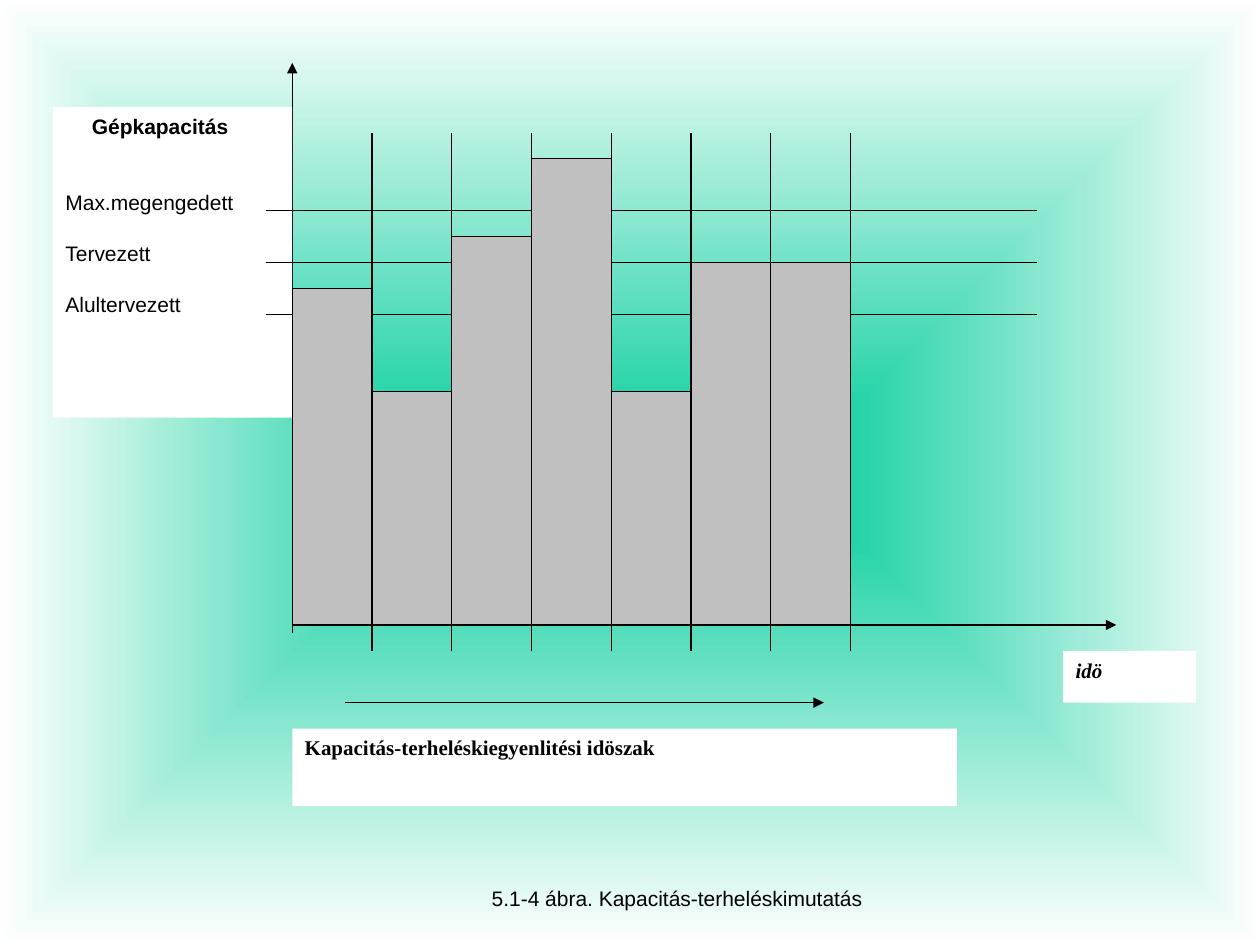
from dataclasses import dataclass

from lxml.etree import SubElement
from pptx import Presentation
from pptx.dml.color import RGBColor
from pptx.enum.shapes import MSO_CONNECTOR, MSO_SHAPE
from pptx.enum.text import MSO_ANCHOR, MSO_AUTO_SIZE, PP_ALIGN
from pptx.oxml import parse_xml
from pptx.oxml.ns import nsdecls, qn
from pptx.util import Inches, Length, Pt


@dataclass(frozen=True)
class Theme:
    ink: str = "000000"
    paper: str = "FFFFFF"
    bar: str = "C0C0C0"
    glow: str = "00CC99"
    sans: str = "Arial"
    serif: str = "Times New Roman"
    size: float = 12
    line: float = 0.75


@dataclass(frozen=True)
class Grid:
    """Chart grid: columns run right and rows run up from the origin."""
    left: float = 2.32
    base: float = 4.96
    col: float = 4.43 / 7
    row: float = 3.7 / 18

    def x(self, col: float) -> Length:
        return Inches(self.left + col * self.col)

    def y(self, row: float) -> Length:
        return Inches(self.base - row * self.row)


@dataclass(frozen=True)
class Line:
    start: tuple[float, float]
    end: tuple[float, float]
    arrow: bool = False


@dataclass(frozen=True)
class Label:
    text: str
    font: str
    bold: bool = False
    italic: bool = False
    before: float = 0
    indent: float = 0


@dataclass(frozen=True)
class Box:
    """Rectangle given by its left and top grid position, columns and rows."""
    col: float
    row: float
    cols: float
    rows: float
    labels: tuple[Label, ...] = ()


THEME = Theme()
GRID = Grid()
THIRD = 1 / 3

LOADS = (13, 9, 15, 18, 9, 14, 14)
LEVELS = (12, 14, 16)

AXES = (
    Line((0, -0.3), (0, 21.7), arrow=True),
    Line((0, 0), (10 + THIRD, 0), arrow=True),
)
PERIOD_ARROW = Line((2 * THIRD, -3), (6 + 2 * THIRD, -3), arrow=True)

CAPACITY_BOX = Box(-3, 20, 3, 12, (
    Label("Gépkapacitás", THEME.sans, bold=True, indent=0.21),
    Label("Max.megengedett", THEME.sans, before=29),
    Label("Tervezett", THEME.sans, before=15),
    Label("Alultervezett", THEME.sans, before=15),
))
PERIOD_BOX = Box(0, -4, 8 + THIRD, 3, (
    Label("Kapacitás-terheléskiegyenlitési idöszak", THEME.serif, bold=True),
))
TIME_BOX = Box(9 + 2 * THIRD, -1, 1 + 2 * THIRD, 2, (
    Label("idö", THEME.serif, bold=True, italic=True),
))


def rgb(value: str) -> RGBColor:
    return RGBColor.from_string(value)


def set_background(s) -> None:
    """Rectangular gradient glowing from the middle of the slide."""
    s.background.fill.solid()
    bg_pr = s.background._cSld.bg.bgPr
    bg_pr.replace(bg_pr[0], parse_xml(
        f'<a:gradFill {nsdecls("a")} rotWithShape="0"><a:gsLst>'
        f'<a:gs pos="0"><a:srgbClr val="{THEME.glow}"/></a:gs>'
        f'<a:gs pos="100000"><a:srgbClr val="{THEME.paper}"/></a:gs>'
        '</a:gsLst><a:path path="rect">'
        '<a:fillToRect l="50000" t="50000" r="50000" b="50000"/>'
        '</a:path></a:gradFill>'))


def write_label(p, label: Label) -> None:
    p.text = label.text
    p.alignment = PP_ALIGN.LEFT
    p.space_before = Pt(label.before)
    p._p.get_or_add_pPr().set("marL", str(Inches(label.indent)))
    font = p.runs[0].font
    font.name = label.font
    font.size = Pt(THEME.size)
    font.bold = label.bold
    font.italic = label.italic
    font.color.rgb = rgb(THEME.ink)


def add_line(s, line: Line) -> None:
    (x1, y1), (x2, y2) = line.start, line.end
    c = s.shapes.add_connector(MSO_CONNECTOR.STRAIGHT, GRID.x(x1), GRID.y(y1),
                               GRID.x(x2), GRID.y(y2))
    c.line.color.rgb = rgb(THEME.ink)
    c.line.width = Pt(THEME.line)
    if line.arrow:
        SubElement(c.line._get_or_add_ln(), qn("a:tailEnd"), type="triangle")
    SubElement(c._element.spPr, qn("a:effectLst"))


def add_box(s, box: Box, fill: str, outlined: bool = False) -> None:
    x, y = GRID.x(box.col), GRID.y(box.row)
    sp = s.shapes.add_shape(MSO_SHAPE.RECTANGLE, x, y,
                            GRID.x(box.col + box.cols) - x,
                            GRID.y(box.row - box.rows) - y)
    sp.shadow.inherit = False
    sp.fill.solid()
    sp.fill.fore_color.rgb = rgb(fill)
    if outlined:
        sp.line.color.rgb = rgb(THEME.ink)
        sp.line.width = Pt(THEME.line)
    else:
        sp.line.fill.background()
    tf = sp.text_frame
    tf.word_wrap = True
    tf.vertical_anchor = MSO_ANCHOR.TOP
    for i, label in enumerate(box.labels):
        write_label(tf.add_paragraph() if i else tf.paragraphs[0], label)


def set_title(s, text: str) -> None:
    title = s.shapes.title
    title.left, title.top = Inches(3.75), Inches(6.92)
    title.width, title.height = Inches(3.25), Inches(0.42)
    tf = title.text_frame
    tf.auto_size = MSO_AUTO_SIZE.NONE
    tf.vertical_anchor = MSO_ANCHOR.MIDDLE
    p = tf.paragraphs[0]
    write_label(p, Label(text, THEME.sans))
    p.alignment = PP_ALIGN.CENTER


def main() -> None:
    prs = Presentation()
    prs.slide_width, prs.slide_height = Inches(10), Inches(7.5)
    s = prs.slides.add_slide(prs.slide_layouts[5])
    set_background(s)
    set_title(s, "5.1-4 ábra. Kapacitás-terheléskimutatás")

    for axis in AXES:
        add_line(s, axis)
    add_box(s, CAPACITY_BOX, THEME.paper)
    for level in LEVELS:
        add_line(s, Line((-THIRD, level), (9 + THIRD, level)))
    for col in range(1, len(LOADS) + 1):
        add_line(s, Line((col, -1), (col, 19)))
    add_box(s, PERIOD_BOX, THEME.paper)
    add_line(s, PERIOD_ARROW)
    add_box(s, TIME_BOX, THEME.paper)
    for col, load in enumerate(LOADS):
        add_box(s, Box(col, load, 1, load), THEME.bar, outlined=True)

    prs.save("out.pptx")


if __name__ == "__main__":
    main()
